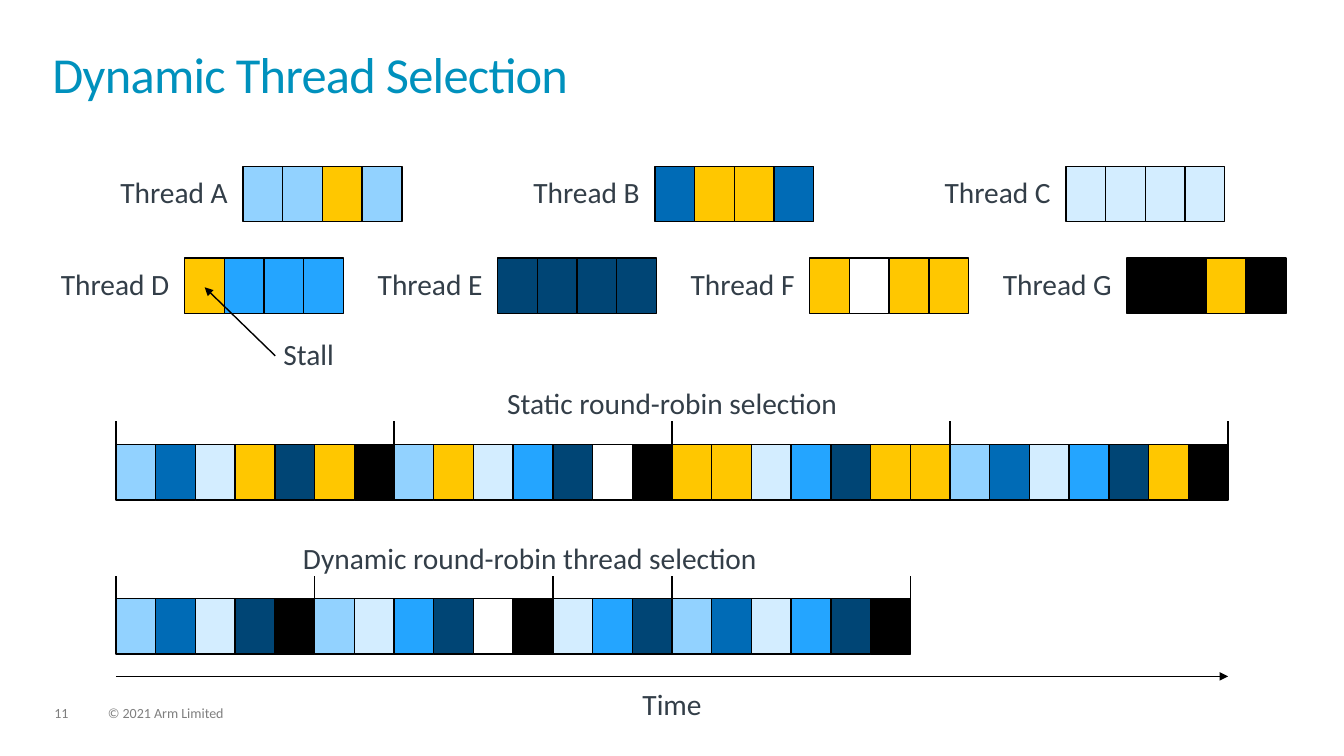
"""Build the slide that compares static and dynamic thread selection."""
from itertools import accumulate

from lxml.etree import SubElement
from pptx import Presentation
from pptx.dml.color import RGBColor
from pptx.enum.shapes import MSO_CONNECTOR, MSO_SHAPE
from pptx.enum.text import MSO_ANCHOR, PP_ALIGN
from pptx.oxml.ns import qn
from pptx.util import Inches, Pt

TITLE = "Dynamic Thread Selection"
STALL = "-"
THREAD_ROWS = [
    {"left": 1.18, "top": 1.65, "gap": 1.29,
     "threads": [("A", "AA-A", 1.08), ("B", "B--B", 1.07), ("C", "CCCC", 1.06)]},
    {"left": 0.59, "top": 2.56, "gap": 0.33,
     "threads": [("D", "-DDD", 1.09), ("E", "EEEE", 1.05),
                 ("F", "-F--", 1.04), ("G", "GG-G", 1.09)]},
]
FOOTERS = [("11", 0.54, 0.34), ("© 2021 Arm Limited", 1.07, 5.07)]

FONT = "Calibri"
BLACK = RGBColor(0x00, 0x00, 0x00)
TITLE_BLUE = RGBColor(0x00, 0x91, 0xBD)
TEXT_GREY = RGBColor(0x33, 0x3E, 0x48)
FOOTER_GREY = RGBColor(0x7F, 0x7F, 0x7F)
SLOT_COLORS = {
    "A": RGBColor(0x92, 0xD2, 0xFF),
    "B": RGBColor(0x00, 0x6B, 0xB6),
    "C": RGBColor(0xD3, 0xED, 0xFF),
    "D": RGBColor(0x24, 0xA5, 0xFF),
    "E": RGBColor(0x00, 0x45, 0x75),
    "F": RGBColor(0xFF, 0xFF, 0xFF),
    "G": BLACK,
    STALL: RGBColor(0xFF, 0xC7, 0x00),
}

TIME_START, TIME_END = 1.15, 12.18
SLOT_WIDTH = (TIME_END - TIME_START) / 28
SLOT_HEIGHT = 0.55
LABEL_GAP = 0.15
LABEL_HEIGHT = 0.32
DIVIDER_HEIGHT = 0.78


def format_paragraph(paragraph, size, color, spacing=0.9, align=PP_ALIGN.LEFT):
    paragraph.alignment = align
    paragraph.line_spacing = spacing
    paragraph.font.name = FONT
    paragraph.font.size = Pt(size)
    paragraph.font.color.rgb = color


def clear_margins(frame, side=0):
    frame.margin_left = frame.margin_right = Inches(side)
    frame.margin_top = frame.margin_bottom = 0


def add_text(shapes, text, left, top, width, height=LABEL_HEIGHT, size=21,
             color=TEXT_GREY, align=PP_ALIGN.CENTER, side=0):
    box = shapes.add_textbox(Inches(left), Inches(top), Inches(width), Inches(height))
    frame = box.text_frame
    clear_margins(frame, side)
    frame.word_wrap = False
    frame.text = text
    format_paragraph(frame.paragraphs[0], size, color, align=align)
    return box


def add_slots(shapes, slots, left, top):
    for index, slot in enumerate(slots):
        shape = shapes.add_shape(
            MSO_SHAPE.RECTANGLE, Inches(left + index * SLOT_WIDTH), Inches(top),
            Inches(SLOT_WIDTH), Inches(SLOT_HEIGHT))
        shape.shadow.inherit = False
        shape.fill.solid()
        shape.fill.fore_color.rgb = SLOT_COLORS[slot]
        shape.line.color.rgb = BLACK
        shape.line.width = Pt(1)


def add_line(shapes, start, end, arrow=False):
    line = shapes.add_connector(
        MSO_CONNECTOR.STRAIGHT, *(Inches(value) for value in (*start, *end)))
    line.line.color.rgb = BLACK
    line.line.width = Pt(1)
    if arrow:
        SubElement(line.line._get_or_add_ln(), qn("a:tailEnd"), type="triangle")
    SubElement(line._element.spPr, qn("a:effectLst"))
    return line


def add_thread_row(shapes, row):
    left, top = row["left"], row["top"]
    label_top = top + (SLOT_HEIGHT - LABEL_HEIGHT) / 2
    for name, slots, label_width in row["threads"]:
        group = shapes.add_group_shape()
        add_text(group.shapes, f"Thread {name}", left, label_top, label_width,
                 align=PP_ALIGN.RIGHT)
        left += label_width + LABEL_GAP
        add_slots(group.shapes, slots, left, top)
        left += len(slots) * SLOT_WIDTH + row["gap"]


def add_schedule(shapes, rounds, top):
    add_slots(shapes, "".join(rounds), TIME_START, top)
    bottom = top + SLOT_HEIGHT
    for position in accumulate(map(len, rounds), initial=0):
        x = TIME_START + position * SLOT_WIDTH
        add_line(shapes, (x, bottom), (x, bottom - DIVIDER_HEIGHT))


def main():
    presentation = Presentation()
    presentation.slide_width = Inches(13.33)
    presentation.slide_height = Inches(7.5)
    slide = presentation.slides.add_slide(presentation.slide_layouts[5])
    shapes = slide.shapes

    title = shapes.title
    title.left, title.top = Inches(0.52), Inches(0.52)
    title.width, title.height = Inches(12.28), Inches(0.72)
    frame = title.text_frame
    clear_margins(frame)
    frame.vertical_anchor = MSO_ANCHOR.TOP
    frame.text = TITLE
    paragraph = frame.paragraphs[0]
    format_paragraph(paragraph, 36, TITLE_BLUE, spacing=0.85)
    paragraph.runs[0]._r.get_or_add_rPr().set("spc", "-50")

    for text, left, width in FOOTERS:
        add_text(shapes, text, left, 7.01, width, 0.15, 10, FOOTER_GREY, PP_ALIGN.LEFT)

    for row in THREAD_ROWS:
        add_thread_row(shapes, row)

    threads = [slots for row in THREAD_ROWS for _, slots, _ in row["threads"]]
    static_rounds = ["".join(slots) for slots in zip(*threads)]
    dynamic_rounds = [slots.replace(STALL, "") for slots in static_rounds]
    add_schedule(shapes, static_rounds, 4.41)
    add_schedule(shapes, dynamic_rounds, 5.94)
    add_text(shapes, "Static round-robin selection", 5.01, 3.86, 3.31)
    add_text(shapes, "Dynamic round-robin thread selection", 2.97, 5.4, 4.57)

    stall_label = add_text(shapes, "Stall", 2.73, 3.37, 0.67,
                           align=PP_ALIGN.LEFT, side=0.08)
    stall_arrow = add_line(shapes, (2.73, 3.53), (2.03, 2.85), arrow=True)
    stall_arrow.begin_connect(stall_label, 1)

    add_line(shapes, (TIME_START, 6.71), (TIME_END, 6.71), arrow=True)
    add_text(shapes, "Time", 6.37, 6.85, 0.59)
    presentation.save("out.pptx")


if __name__ == "__main__":
    main()
